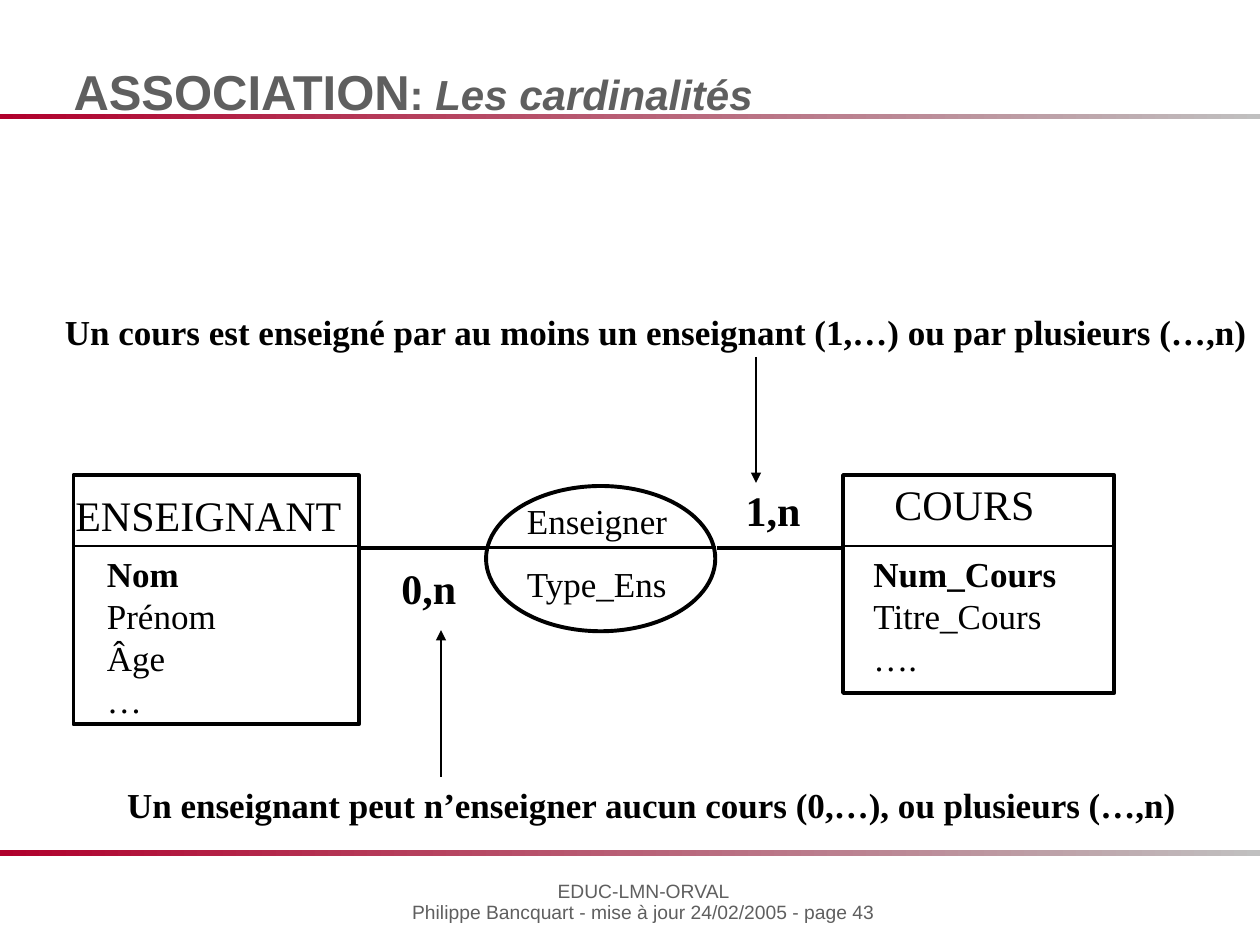
import pptx
import pptx.dml.color
import pptx.enum.shapes
import pptx.enum.text
import pptx.oxml.ns
import pptx.util
from lxml import etree

Pt = pptx.util.Pt
RGBColor = pptx.dml.color.RGBColor
MSO_SHAPE = pptx.enum.shapes.MSO_SHAPE
MSO_ANCHOR = pptx.enum.text.MSO_ANCHOR
PP_ALIGN = pptx.enum.text.PP_ALIGN
qn = pptx.oxml.ns.qn

BLACK = RGBColor(0x00, 0x00, 0x00)
GRAY = RGBColor(0x5F, 0x5F, 0x5F)
SILVER = RGBColor(0xC0, 0xC0, 0xC0)
RED = RGBColor(0xB0, 0x00, 0x2C)
SERIF = "Times New Roman"
SANS = "Arial"


class Diagram:
    """Draw the elements of an entity-association diagram on one slide."""

    def __init__(self, slide):
        self.shapes = slide.shapes

    def band(self, top):
        sp = self.shapes.add_shape(MSO_SHAPE.RECTANGLE, 0, Pt(top), Pt(720), Pt(3))
        sp.shadow.inherit = False
        sp.line.fill.background()
        sp.fill.gradient()
        sp.fill.gradient_angle = 180
        for stop, color in zip(sp.fill.gradient_stops, (SILVER, RED)):
            stop.color.rgb = color

    def outline(self, kind, x, y, w, h):
        sp = self.shapes.add_shape(kind, Pt(x), Pt(y), Pt(w), Pt(h))
        sp.shadow.inherit = False
        sp.fill.background()
        sp.line.color.rgb = BLACK
        sp.line.width = Pt(2.25)

    def line(self, x1, y1, x2, y2, width, arrow=None):
        cx = self.shapes.add_connector(
            pptx.enum.shapes.MSO_CONNECTOR.STRAIGHT, Pt(x1), Pt(y1), Pt(x2), Pt(y2))
        cx.line.color.rgb = BLACK
        cx.line.width = Pt(width)
        if arrow:
            etree.SubElement(cx.line._get_or_add_ln(), qn(arrow), type="triangle")
        etree.SubElement(cx._element.spPr, qn("a:effectLst"))

    def frame(self, x, y, w, h, margins, wrap):
        tf = self.shapes.add_textbox(Pt(x), Pt(y), Pt(w), Pt(h)).text_frame
        tf.margin_left = tf.margin_right = Pt(margins[0])
        tf.margin_top = tf.margin_bottom = Pt(margins[1])
        tf.word_wrap = wrap
        return tf

    def style(self, p, name, size, color, bold=False):
        p.font.name = name
        p.font.size = Pt(size)
        p.font.color.rgb = color
        p.font.bold = bold

    def label(self, x, y, w, h, lines, size=20, bold_lines=0):
        tf = self.frame(x, y, w, h, (7.2, 3.6), False)
        for i, text in enumerate(lines):
            p = tf.add_paragraph() if i else tf.paragraphs[0]
            p.text = text
            self.style(p, SERIF, size, BLACK, i < bold_lines)

    def title(self, parts):
        tf = self.frame(42, 39, 588, 30, (0, 0), True)
        tf.vertical_anchor = MSO_ANCHOR.BOTTOM
        p = tf.paragraphs[0]
        p.line_spacing = 0.9
        self.style(p, SANS, 24, GRAY, True)
        for text, size, italic in parts:
            r = p.add_run()
            r.text = text
            r.font.size = Pt(size)
            r.font.italic = italic

    def footer(self, lines):
        tf = self.frame(202.5, 500.5, 330.5, 30, (6.5, 3.6), True)
        for i, text in enumerate(lines):
            p = tf.add_paragraph() if i else tf.paragraphs[0]
            p.text = text
            p.alignment = PP_ALIGN.CENTER
            p.line_spacing = 0.9
            self.style(p, SANS, 11, GRAY)


def main():
    prs = pptx.Presentation()
    prs.slide_width, prs.slide_height = Pt(720), Pt(540)
    s = Diagram(prs.slides.add_slide(prs.slide_layouts[6]))

    s.band(65)
    s.band(486)
    s.footer(["EDUC-LMN-ORVAL",
              "Philippe Bancquart - mise à jour 24/02/2005 - page 43"])
    s.title([("ASSOCIATION", 28, False), (": ", 24, False),
             ("Les cardinalités", 24, True)])

    s.outline(MSO_SHAPE.RECTANGLE, 42, 271.5, 163, 142.5)
    s.outline(MSO_SHAPE.OVAL, 277.75, 277.75, 131, 83)
    s.outline(MSO_SHAPE.RECTANGLE, 481.75, 271.5, 155, 124.5)

    s.line(205, 313, 277.5, 313, 2.25)
    s.line(409.5, 313, 481, 313, 2.25)
    s.line(277.5, 313, 409, 313, 1.5)
    s.line(42, 312, 204, 312, 1)
    s.line(480.5, 312, 636, 312, 1)

    s.label(36, 276, 166.5, 36, ["ENSEIGNANT"], 24)
    s.label(54, 312, 77, 103.5, ["Nom", "Prénom", "Âge", "…"], bold_lines=1)
    s.label(294, 282, 95, 31, ["Enseigner"])
    s.label(294, 318, 95.5, 31, ["Type_Ens"])
    s.label(504, 270, 96, 36, ["COURS"], 24)
    s.label(492, 312, 119.5, 79, ["Num_Cours", "Titre_Cours", "…."], bold_lines=1)

    s.label(222.25, 318, 45.5, 36, ["0,n"], 24, 1)
    s.label(419, 273.5, 45.5, 36, ["1,n"], 24, 1)
    s.label(65.5, 444, 614, 31.5,
            ["Un enseignant peut n’enseigner aucun cours (0,…), ou plusieurs (…,n)"],
            bold_lines=1)
    s.label(30, 174, 690.5, 31.5,
            ["Un cours est enseigné par au moins un enseignant (1,…) ou par plusieurs (…,n)"],
            bold_lines=1)
    s.line(252, 360, 252, 444, 1.5, "a:headEnd")
    s.line(432, 204, 432, 276, 1.5, "a:tailEnd")

    prs.save("out.pptx")


if __name__ == "__main__":
    main()
